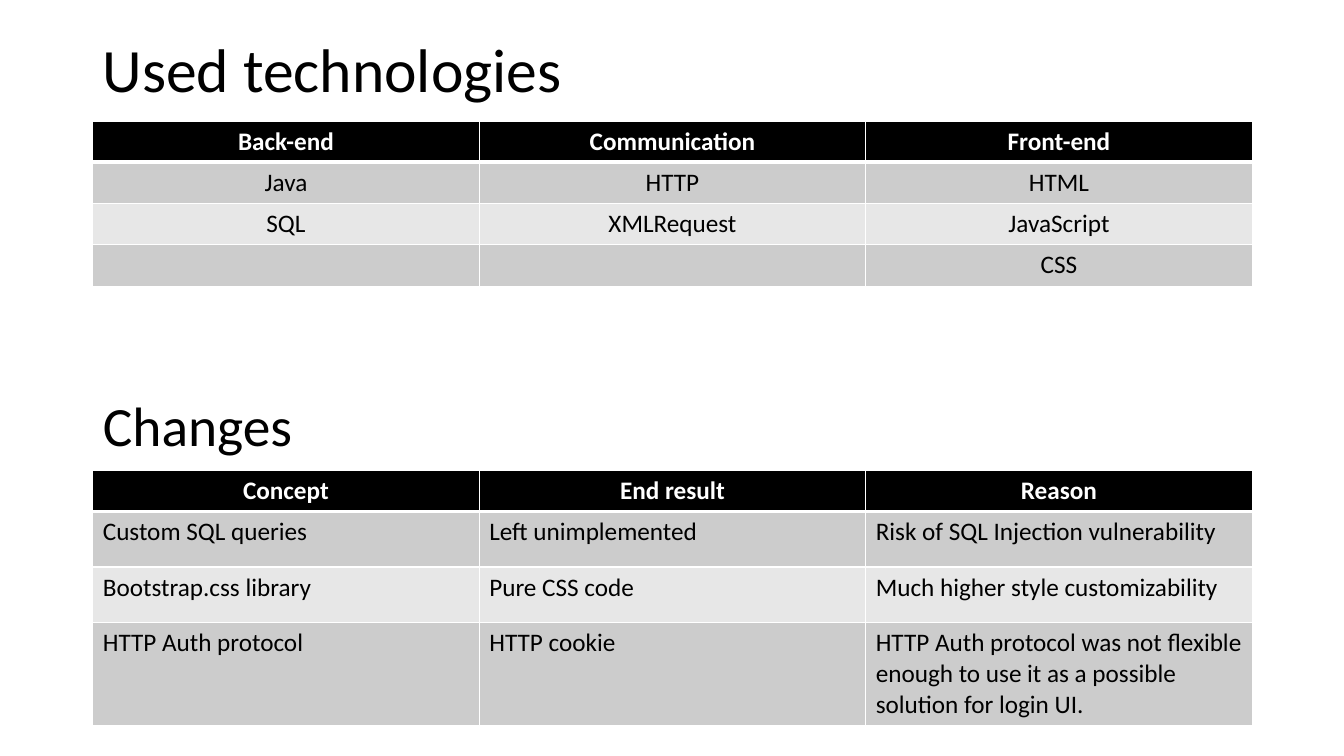
import pptx
import pptx.util
import pptx.dml.color
import pptx.enum.text
import pptx.oxml.ns
import lxml.etree

Inches, Pt = pptx.util.Inches, pptx.util.Pt
LEFT, WIDTH = 0.92, 11.5
BLACK, WHITE = "000000", "FFFFFF"
BANDS = ["CCCCCC", "E7E7E7"]
ALIGN = pptx.enum.text.PP_ALIGN


def style_text(para, text, color, **formats):
    span = para.add_run()
    span.text = text
    span.font.name = "Calibri"
    span.font.color.rgb = pptx.dml.color.RGBColor.from_string(color)
    for name, value in formats.items():
        setattr(span.font, name, value)


def add_border(cell, side, points):
    """Append a white border; call in the order L, R, T, B, before filling the cell."""
    qn = pptx.oxml.ns.qn
    properties = cell._tc.get_or_add_tcPr()
    line = lxml.etree.SubElement(properties, qn(f"a:ln{side}"), w=str(Pt(points)))
    fill = lxml.etree.SubElement(line, qn("a:solidFill"))
    lxml.etree.SubElement(fill, qn("a:srgbClr"), val=WHITE)


sections = [
    {
        "title": "Used technologies", "size": 44, "title_top": 0.32, "title_height": 0.8,
        "table_top": 1.2, "row_heights": [0.41] * 4, "body_align": ALIGN.CENTER,
        "rows": [
            ["Back-end", "Communication", "Front-end"],
            ["Java", "HTTP", "HTML"],
            ["SQL", "XMLRequest", "JavaScript"],
            ["", "", "CSS"],
        ],
    },
    {
        "title": "Changes", "size": 39.6, "title_top": 3.89, "title_height": 0.73,
        "table_top": 4.67, "row_heights": [0.4, 0.55, 0.55, 1.02], "body_align": ALIGN.LEFT,
        "rows": [
            ["Concept", "End result", "Reason"],
            ["Custom SQL queries", "Left unimplemented", "Risk of SQL Injection vulnerability"],
            ["Bootstrap.css library", "Pure CSS code", "Much higher style customizability"],
            ["HTTP Auth protocol", "HTTP cookie",
             "HTTP Auth protocol was not flexible enough to use it as a possible "
             "solution for login UI."],
        ],
    },
]

deck = pptx.Presentation()
deck.slide_width, deck.slide_height = Inches(13.33), Inches(7.5)
page = deck.slides.add_slide(deck.slide_layouts[5])

for section in sections:
    top, height = Inches(section["title_top"]), Inches(section["title_height"])
    if section["title"] == "Changes":
        box = page.shapes.title
        box.left, box.top, box.width, box.height = Inches(LEFT), top, Inches(WIDTH), height
    else:
        box = page.shapes.add_textbox(Inches(LEFT), top, Inches(WIDTH), height)
    frame_formats = {
        "word_wrap": True,
        "auto_size": pptx.enum.text.MSO_AUTO_SIZE.NONE,
        "vertical_anchor": pptx.enum.text.MSO_ANCHOR.MIDDLE,
    }
    for name, value in frame_formats.items():
        setattr(box.text_frame, name, value)
    para = box.text_frame.paragraphs[0]
    para.alignment, para.line_spacing = ALIGN.LEFT, 0.9
    style_text(para, section["title"], BLACK, size=Pt(section["size"]))

    rows, heights = section["rows"], section["row_heights"]
    table = page.shapes.add_table(
        len(rows), len(rows[0]), Inches(LEFT), Inches(section["table_top"]),
        Inches(WIDTH), Inches(sum(heights))).table
    for row_index, texts in enumerate(rows):
        table.rows[row_index].height = Inches(heights[row_index])
        is_header = row_index == 0
        fill_color = BLACK if is_header else BANDS[(row_index - 1) % 2]
        borders = {"L": 1, "R": 1, "T": 3 if row_index == 1 else 1, "B": 3 if is_header else 1}
        for column_index, text in enumerate(texts):
            cell = table.cell(row_index, column_index)
            for side, points in borders.items():
                add_border(cell, side, points)
            cell.fill.solid()
            cell.fill.fore_color.rgb = pptx.dml.color.RGBColor.from_string(fill_color)
            if text:
                para = cell.text_frame.paragraphs[0]
                para.alignment = ALIGN.CENTER if is_header else section["body_align"]
                style_text(para, text, WHITE if is_header else BLACK, size=Pt(18), bold=is_header)

deck.save("out.pptx")
